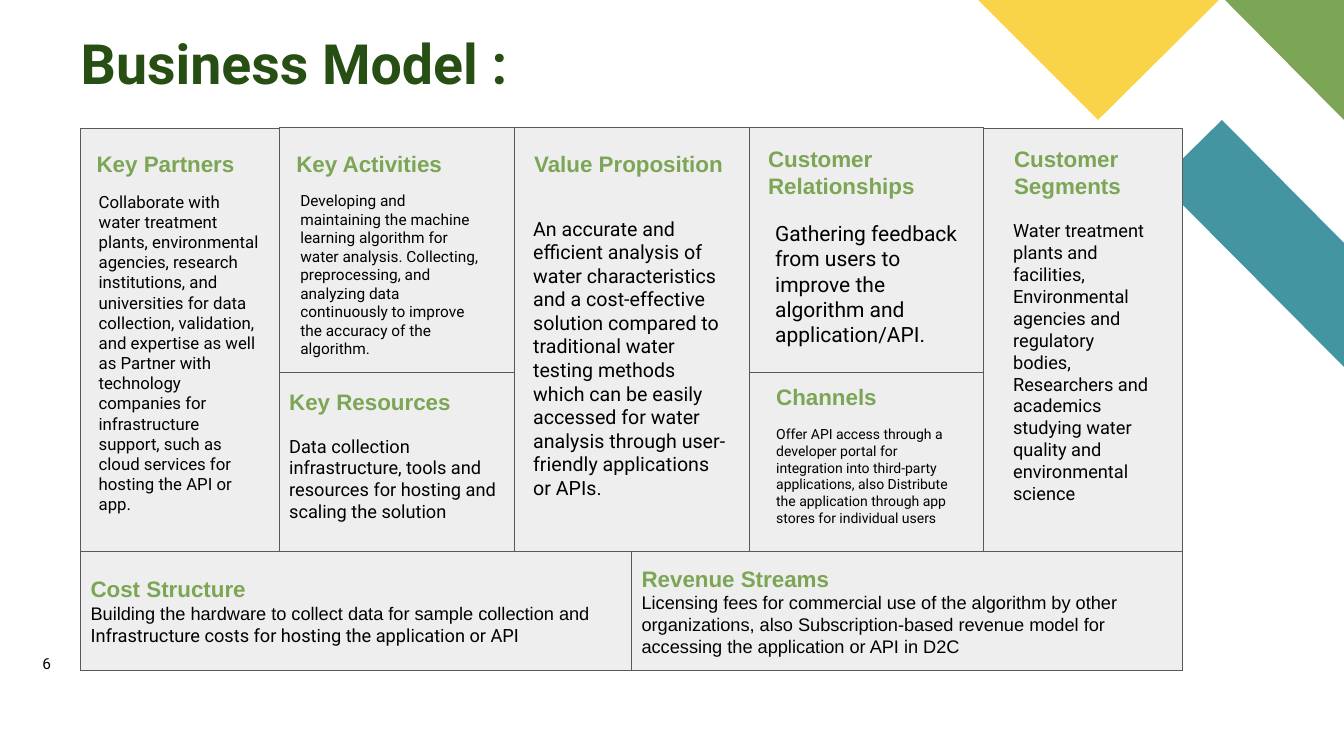
from pptx import Presentation
from pptx import util as u
from pptx.dml.color import RGBColor
from pptx.enum import shapes, text

LEFT, TOP, SIDE_W, COL_W = 0.8, 1.27, 1.97, 2.33
SPLIT, COL_H, LOW_H = 3.7, 4.2, 1.77
BASE, BASE_W, BASE_H = 5.47, 5.465, 1.18


def rgb(code):
    return RGBColor.from_string(code)


def add_run(p, content, size=13, font="Roboto", color="000000", bold=False):
    r = p.add_run()
    r.text = content
    r.font.size = u.Pt(size)
    r.font.name = font
    r.font.bold = bold
    r.font.color.rgb = rgb(color)
    return r


class Canvas:
    heading_style = dict(size=16, font="Arial", color="7CA655", bold=True)
    panel, border = "EEEEEE", "595959"

    def __init__(self, s):
        self.s = s

    def frame(self, sp, anchor, inset=0.1):
        tf = sp.text_frame
        tf.word_wrap = True
        tf.auto_size = text.MSO_AUTO_SIZE.NONE
        tf.vertical_anchor = anchor
        tf.margin_left = tf.margin_right = u.Inches(inset)
        tf.margin_top = tf.margin_bottom = u.Inches(inset)
        return tf

    def title(self, content, x, y, w, h):
        sp = self.s.shapes.title
        sp.left, sp.top, sp.width, sp.height = map(u.Inches, (x, y, w, h))
        p = self.frame(sp, text.MSO_ANCHOR.BOTTOM, 0).paragraphs[0]
        p.alignment = text.PP_ALIGN.LEFT
        p.line_spacing = 0.9
        add_run(p, content, size=39.6, color="274E13", bold=True)

    def polygon(self, color, points):
        pts = [(u.Inches(x), u.Inches(y)) for x, y in points]
        builder = self.s.shapes.build_freeform(*pts[0])
        builder.add_line_segments(pts[1:], close=True)
        sp = builder.convert_to_shape()
        sp.shadow.inherit = False
        sp.fill.solid()
        sp.fill.fore_color.rgb = rgb(color)
        sp.line.fill.background()

    def box(self, x, y, w, h):
        sp = self.s.shapes.add_shape(shapes.MSO_SHAPE.RECTANGLE,
                                     *map(u.Inches, (x, y, w, h)))
        sp.shadow.inherit = False
        sp.fill.solid()
        sp.fill.fore_color.rgb = rgb(self.panel)
        sp.line.color.rgb = rgb(self.border)
        sp.line.width = u.Pt(0.75)
        return sp

    def section(self, area, heading, runs, anchor=text.MSO_ANCHOR.MIDDLE,
                gap=0, spacing=1.0):
        """A box whose heading and body share one text frame."""
        tf = self.frame(self.box(*area), anchor)
        head, body = tf.paragraphs[0], tf.add_paragraph()
        head.alignment = body.alignment = text.PP_ALIGN.LEFT
        head.line_spacing = spacing
        body.space_before = u.Pt(gap)
        add_run(head, heading, **self.heading_style)
        for content, font in runs:
            add_run(body, content, font=font)

    def label(self, content, x, y, w, h, inset=0.1, **style):
        sp = self.s.shapes.add_textbox(*map(u.Inches, (x, y, w, h)))
        tf = self.frame(sp, text.MSO_ANCHOR.TOP, inset)
        add_run(tf.paragraphs[0], content, **style)

    def heading(self, content, x, y, w):
        self.label(content, x, y, w, 0.36, **self.heading_style)


def main():
    prs = Presentation()
    prs.slide_width, prs.slide_height = u.Inches(13.33), u.Inches(7.5)
    c = Canvas(prs.slides.add_slide(prs.slide_layouts[5]))

    # Corner decoration
    c.polygon("4495A2", [(13.33, 3.64), (13.33, 2.41), (12.12, 1.19), (11.5, 1.8)])
    c.polygon("7CA655", [(13.33, 1.19), (13.33, 0), (12.15, 0)])
    c.polygon("F9D448", [(9.7, 0), (10.89, 1.19), (12.09, 0)])

    # Title and page number
    c.title("Business Model :", LEFT, 0.42, 4.59, 0.54)
    c.label("6", 0.42, 6.49, 0.57, 0.27, inset=0, size=11)

    # Canvas grid
    c.box(LEFT, TOP, 2 * BASE_W, COL_H + BASE_H)
    columns = [LEFT + SIDE_W + i * COL_W for i in range(3)]
    for x in columns:
        c.box(x, TOP, COL_W, COL_H)
    c.box(columns[2], SPLIT, COL_W, LOW_H)

    # Boxes with a heading and body together
    c.section((columns[0], SPLIT, COL_W, LOW_H), "Key Resources",
              [("Data collection infrastructure, tools and resources for "
                "hosting and scaling the solution", "Roboto")],
              anchor=text.MSO_ANCHOR.TOP, gap=14, spacing=1.2)
    c.section((LEFT, BASE, BASE_W, BASE_H), "Cost Structure",
              [("Building the hardware to collect data for sample collection and ",
                "Arial"),
               ("Infrastructure costs for hosting the application or API",
                "Roboto")])
    c.section((LEFT + BASE_W, BASE, BASE_W, BASE_H), "Revenue Streams",
              [("Licensing fees for commercial use of the algorithm by other "
                "organizations, also Subscription-based revenue model for "
                "accessing the application or API in D2C", "Arial")])

    # Column headings
    for content, x, y, w in [
        ("Key Partners", 0.86, 1.39, 1.72),
        ("Key Activities", 2.84, 1.39, 2.08),
        ("Value Proposition", 5.2, 1.39, 2.13),
        ("Customer Relationships", 7.52, 1.34, 2.13),
        ("Channels", 7.6, 3.7, 1.6),
        ("Customer Segments", 9.96, 1.34, 1.6),
    ]:
        c.heading(content, x, y, w)

    # Column texts
    for size, x, y, w, h, content in [
        (12, 0.88, 1.8, 1.81, 3.4,
         "Collaborate with water treatment plants, environmental agencies, "
         "research institutions, and universities for data collection, "
         "validation, and expertise as well as Partner with technology "
         "companies for infrastructure support, such as cloud services for "
         "hosting the API or app."),
        (11, 2.88, 1.8, 2.08, 1.77,
         "Developing and maintaining the machine learning algorithm for water "
         "analysis. Collecting, preprocessing, and analyzing data continuously "
         "to improve the accuracy of the algorithm."),
        (14, 5.19, 2.05, 2.13, 3.09,
         "An accurate and efficient analysis of water characteristics and a "
         "cost-effective solution compared to traditional water testing "
         "methods which can be easily accessed for water analysis through "
         "user-friendly applications or APIs."),
        (15, 7.59, 2.09, 2.01, 1.55,
         "Gathering feedback from users to improve the algorithm and "
         "application/API."),
        (10, 7.6, 4.12, 2.01, 1.18,
         "Offer API access through a developer portal for integration into "
         "third-party applications, also Distribute the application through "
         "app stores for individual users"),
        (13, 9.95, 2.08, 1.61, 3.09,
         "Water treatment plants and facilities, Environmental agencies and "
         "regulatory bodies, Researchers and academics studying water quality "
         "and environmental science"),
    ]:
        c.label(content, x, y, w, h, size=size)

    prs.save("out.pptx")


if __name__ == "__main__":
    main()
